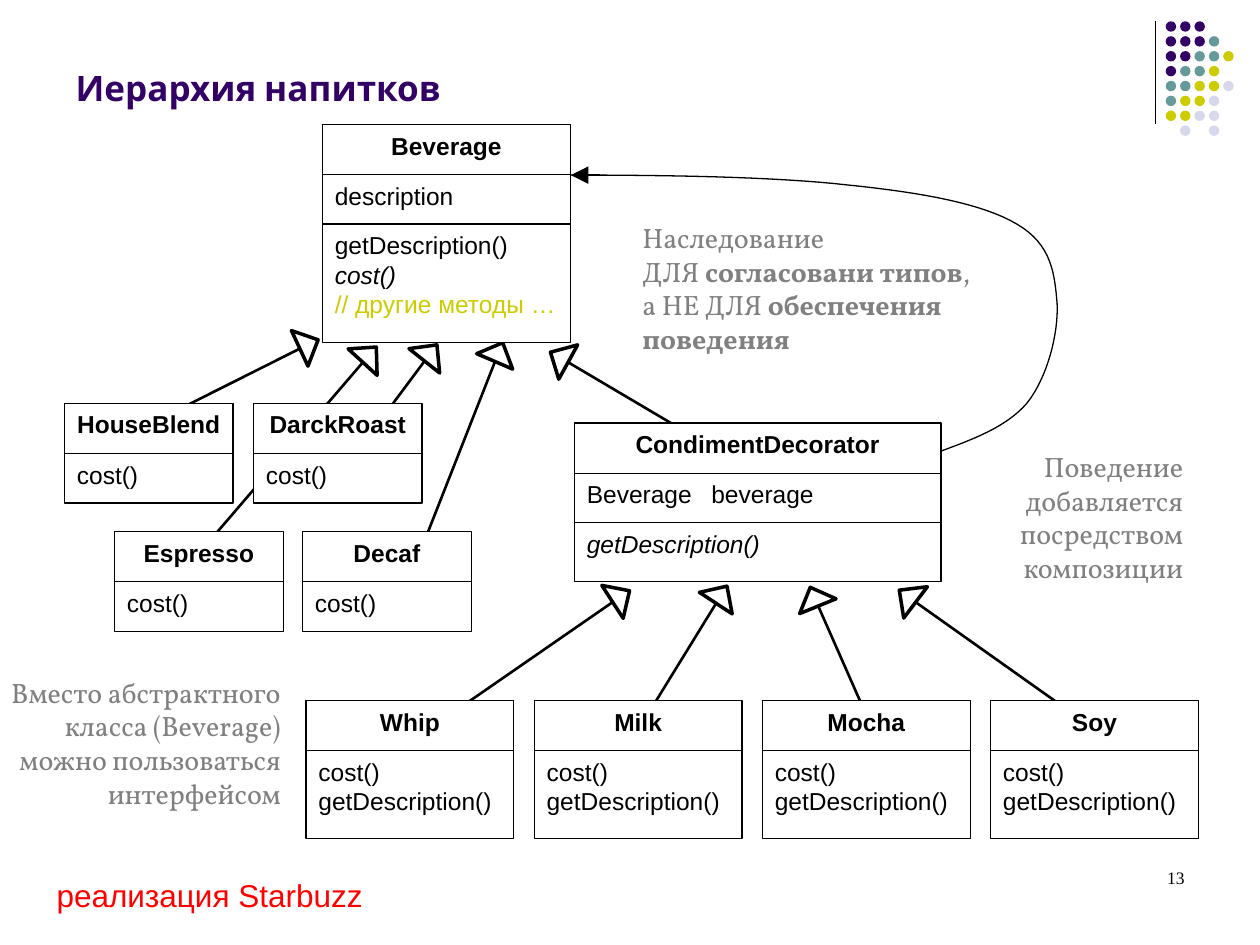
"""Build the beverage class hierarchy slide."""
from dataclasses import dataclass
from math import atan2, cos, degrees, sin
from lxml.etree import SubElement
from pptx import Presentation
from pptx.dml.color import RGBColor as Rgb
from pptx.enum.shapes import MSO_CONNECTOR as Conn, MSO_SHAPE as Kind
from pptx.enum.text import MSO_ANCHOR as Anchor, MSO_AUTO_SIZE as Fit, PP_ALIGN as Align
from pptx.oxml.ns import qn
from pptx.util import Cm, Pt


@dataclass(frozen=True)
class Theme:
    """Colours, fonts and type sizes."""
    ink: str = "000000"
    paper: str = "FFFFFF"
    plum: str = "330066"
    teal: str = "669999"
    lime: str = "CCCC00"
    mist: str = "D8D8EC"
    grey: str = "808080"
    red: str = "FF0000"
    sans: str = "Arial"
    serif: str = "Vollkorn"
    head: str = "Cabin"
    roman: str = "Times New Roman"
    title: float = 20
    foot: float = 18
    note: float = 16
    code: float = 14
    page: float = 10
    thin: float = 0.75
    mid: float = 1.5
    bold: float = 2


@dataclass(frozen=True)
class Line:
    """One member line of a class."""
    text: str
    italic: bool = False
    color: str = Theme.ink


@dataclass(frozen=True)
class Band:
    """A compartment of a class box."""
    height: float
    lines: tuple[Line, ...]


@dataclass(frozen=True)
class Card:
    """A class box with its name and compartments."""
    name: str
    left: float
    top: float
    width: float
    bands: tuple[Band, ...]


@dataclass(frozen=True)
class Link:
    """An inheritance line with its hollow head."""
    start: tuple[float, float]
    end: tuple[float, float]
    tilt: float = 1.7


@dataclass(frozen=True)
class Note:
    """A text box made of runs with a bold flag."""
    left: float
    top: float
    width: float
    height: float
    runs: tuple[tuple[str, bool], ...]
    align: Align = Align.RIGHT
    font: str = Theme.serif
    size: float = Theme.note
    color: str = Theme.grey
    wrap: bool = True


T = Theme()
HEAD = 1.01
COST = Line("cost()")
DESC = Line("getDescription()")
PLAIN = (Band(1, (COST,)),)
FULL = (Band(1.78, (COST, DESC)),)
CARDS = [
    Card("Beverage", 6.5, 2.51, 5, (
        Band(1, (Line("description"),)),
        Band(2.39, (DESC, Line("cost()", True), Line("// другие методы …", color=T.lime))))),
    Card("HouseBlend", 1.3, 8.13, 3.4, PLAIN),
    Card("DarckRoast", 5.11, 8.13, 3.4, PLAIN),
    Card("Espresso", 2.31, 10.72, 3.4, PLAIN),
    Card("Decaf", 6.1, 10.72, 3.4, PLAIN),
    Card("CondimentDecorator", 11.58, 8.53, 7.39, (
        Band(1, (Line("Beverage\tbeverage"),)),
        Band(1.19, (Line("getDescription()", True),)))),
    *(Card(name, 6.17 + 4.6 * i, 14.12, 4.19, FULL)
      for i, name in enumerate(("Whip", "Milk", "Mocha", "Soy"))),
]
LINKS = [
    Link((11.79, 16.46), (14.48, 12.09)),
    Link((18.52, 16.81), (16.46, 12.14)),
    Link((22.58, 15.06), (18.39, 12.09)),
    Link((2.77, 12.6), (7.37, 7.24)),
    Link((6.83, 9.6), (8.61, 7.21)),
    Link((8.33, 11.48), (10.01, 7.21)),
    Link((8.2, 15.01), (12.42, 12.09)),
    Link((3.45, 8.33), (6.12, 6.99)),
    Link((14.78, 9.27), (11.38, 7.26), -1.7),
]
NOTES = [
    Note(12.7, 4.32, 8.41, 2.97, (
        ("Наследование\nДЛЯ ", False), ("согласовани типов", True),
        (",\nа НЕ ДЛЯ ", False), ("обеспечения поведения", True)), Align.LEFT),
    Note(19.71, 8.94, 4.39, 2.97, (("Поведение добавляется посредством композиции", False),)),
    Note(-0.08, 13.49, 5.99, 4.32,
         (("Вместо абстрактного класса (Beverage) можно пользоваться интерфейсом", False),)),
    Note(0.89, 17.53, 6.68, 1.02, (("реализация Starbuzz", False),),
         Align.LEFT, T.sans, T.foot, T.red, False),
    Note(18.21, 17.35, 5.92, 1.27, (("13", False),), Align.RIGHT, T.roman, T.page, T.ink),
]
DOTS = ("PPP", "PPPT", "PPTTY", "PTTY", "TTYYL", "TYYL", "YYLL", " L L")
HUES = {"P": T.plum, "T": T.teal, "Y": T.lime, "L": T.mist}
CURVE = [
    (18.9, 9.12), (19.61, 8.86), (20.29, 8.61), (20.7, 8.13),
    (21.11, 7.62), (21.34, 6.73), (21.31, 6.12),
    (21.26, 5.54), (21.21, 4.93), (20.5, 4.52),
    (19.81, 4.11), (18.64, 3.89), (17.09, 3.73),
    (15.57, 3.56), (13.44, 3.53), (11.3, 3.53),
]


def put(para, text: str, *, font=T.sans, size=T.code, color=T.ink,
        bold=False, italic=False, align=Align.LEFT) -> None:
    """Add formatted text to a paragraph."""
    para.alignment = align
    if "\t" in text:
        tabs = SubElement(para._p.get_or_add_pPr(), qn("a:tabLst"))
        SubElement(tabs, qn("a:tab"), pos=str(Cm(2.51)), algn="l")
    for i, part in enumerate(text.split("\n")):
        if i:
            para.add_line_break()
        run = para.add_run()
        run.text = part
        face = run.font
        face.name, face.size, face.bold, face.italic = font, Pt(size), bold, italic
        face.color.rgb = Rgb.from_string(color)


def shape(slide, kind: Kind, left: float, top: float, width: float, height: float,
          fill: str = T.paper, line: float = 0):
    """Draw a filled preset shape."""
    item = slide.shapes.add_shape(kind, Cm(left), Cm(top), Cm(width), Cm(height))
    item.shadow.inherit = False
    item.fill.solid()
    item.fill.fore_color.rgb = Rgb.from_string(fill)
    if line:
        item.line.color.rgb = Rgb.from_string(T.ink)
        item.line.width = Pt(line)
    else:
        item.line.fill.background()
    return item


def wire(slide, start: tuple[float, float], end: tuple[float, float], width: float = T.thin):
    """Draw a straight line."""
    item = slide.shapes.add_connector(Conn.STRAIGHT, *map(Cm, start + end))
    item.line.color.rgb = Rgb.from_string(T.ink)
    item.line.width = Pt(width)
    SubElement(item._element.spPr, qn("a:effectLst"))
    return item


def card(slide, data: Card) -> None:
    """Draw a class box."""
    top = data.top
    for i, band in enumerate((Band(HEAD, (Line(data.name),)), *data.bands)):
        box = shape(slide, Kind.RECTANGLE, data.left, top, data.width, band.height, line=T.thin)
        frame = box.text_frame
        frame.word_wrap = False
        frame.vertical_anchor = Anchor.TOP
        for j, row in enumerate(band.lines):
            para = frame.add_paragraph() if j else frame.paragraphs[0]
            put(para, row.text, color=row.color, italic=row.italic, bold=not i,
                align=Align.LEFT if i else Align.CENTER)
        top += band.height


def link(slide, data: Link) -> None:
    """Draw an inheritance line and its triangle."""
    wire(slide, data.start, data.end, T.mid)
    (x, y), (u, v) = data.start, data.end
    turn = atan2(u - x, y - v)
    wide, high, gap = 0.79, 0.41, 0.12
    head = shape(slide, Kind.ISOSCELES_TRIANGLE, u + gap * sin(turn) - wide / 2,
                 v - gap * cos(turn) - high / 2, wide, high, line=T.bold)
    head.rotation = (degrees(turn) + data.tilt) % 360


def note(slide, data: Note) -> None:
    """Draw a text box."""
    box = slide.shapes.add_textbox(*map(Cm, (data.left, data.top, data.width, data.height)))
    box.text_frame.word_wrap = data.wrap
    for text, bold in data.runs:
        put(box.text_frame.paragraphs[0], text, font=data.font, size=data.size,
            color=data.color, bold=bold, align=data.align)


def bend(slide, steps: int = 16) -> None:
    """Draw the curved type link with its arrow."""
    spots = []
    for k in range(0, len(CURVE) - 1, 3):
        for t in (n / steps for n in range(1, steps + 1)):
            mix = ((1 - t) ** 3, 3 * t * (1 - t) ** 2, 3 * t * t * (1 - t), t ** 3)
            spots.append(tuple(Cm(sum(m * p[a] for m, p in zip(mix, CURVE[k:k + 4])))
                               for a in (0, 1)))
    pen = slide.shapes.build_freeform(*map(Cm, CURVE[0]))
    pen.add_line_segments(spots, close=False)
    arc = pen.convert_to_shape()
    arc.shadow.inherit = False
    arc.fill.background()
    arc.line.color.rgb = Rgb.from_string(T.ink)
    arc.line.width = Pt(T.thin)
    tip = wire(slide, (12.09, 3.53), (11.51, 3.53))
    SubElement(tip.line._get_or_add_ln(), qn("a:tailEnd"), type="triangle", w="lg", len="lg")


def main() -> None:
    """Build and save the slide."""
    deck = Presentation()
    deck.slide_width, deck.slide_height = Cm(25.4), Cm(19.05)
    slide = deck.slides.add_slide(deck.slide_layouts[5])
    wire(slide, (23.29, 0.43), (23.29, 2.51))
    for row, marks in enumerate(DOTS):
        for col, mark in enumerate(marks):
            if mark in HUES:
                shape(slide, Kind.OVAL, 23.5 + 0.29 * col, 0.43 + 0.3 * row, 0.21, 0.21, HUES[mark])
    title = slide.shapes.title
    title.left, title.top, title.width, title.height = map(Cm, (1.27, 0.33, 21.84, 1.98))
    title.text_frame.auto_size = Fit.NONE
    title.text_frame.vertical_anchor = Anchor.BOTTOM
    put(title.text_frame.paragraphs[0], "Иерархия напитков", font=T.head, size=T.title,
        color=T.plum, bold=True)
    bend(slide)
    for draw, items in ((link, LINKS), (card, CARDS), (note, NOTES)):
        for item in items:
            draw(slide, item)
    deck.save("out.pptx")


if __name__ == "__main__":
    main()
